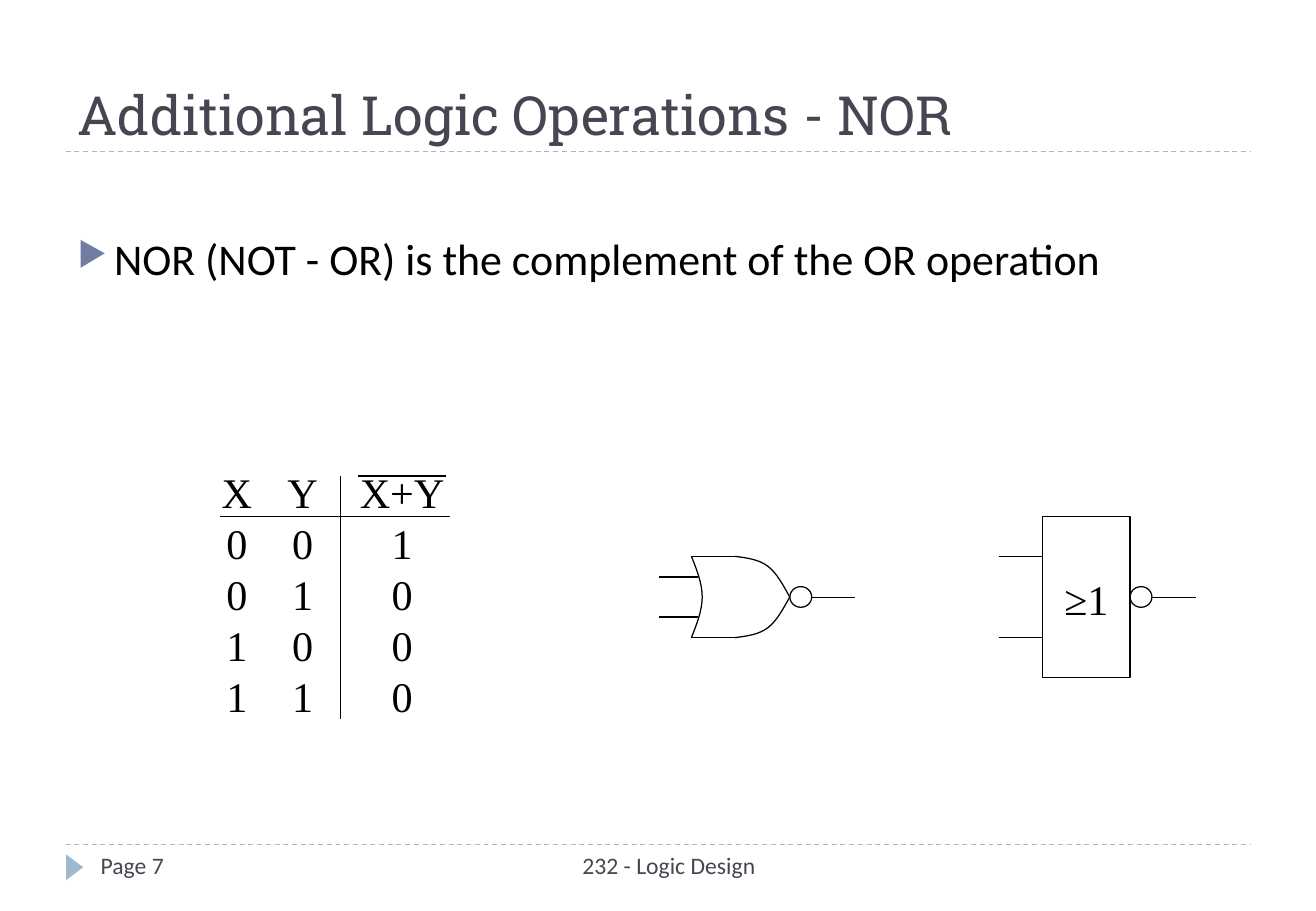
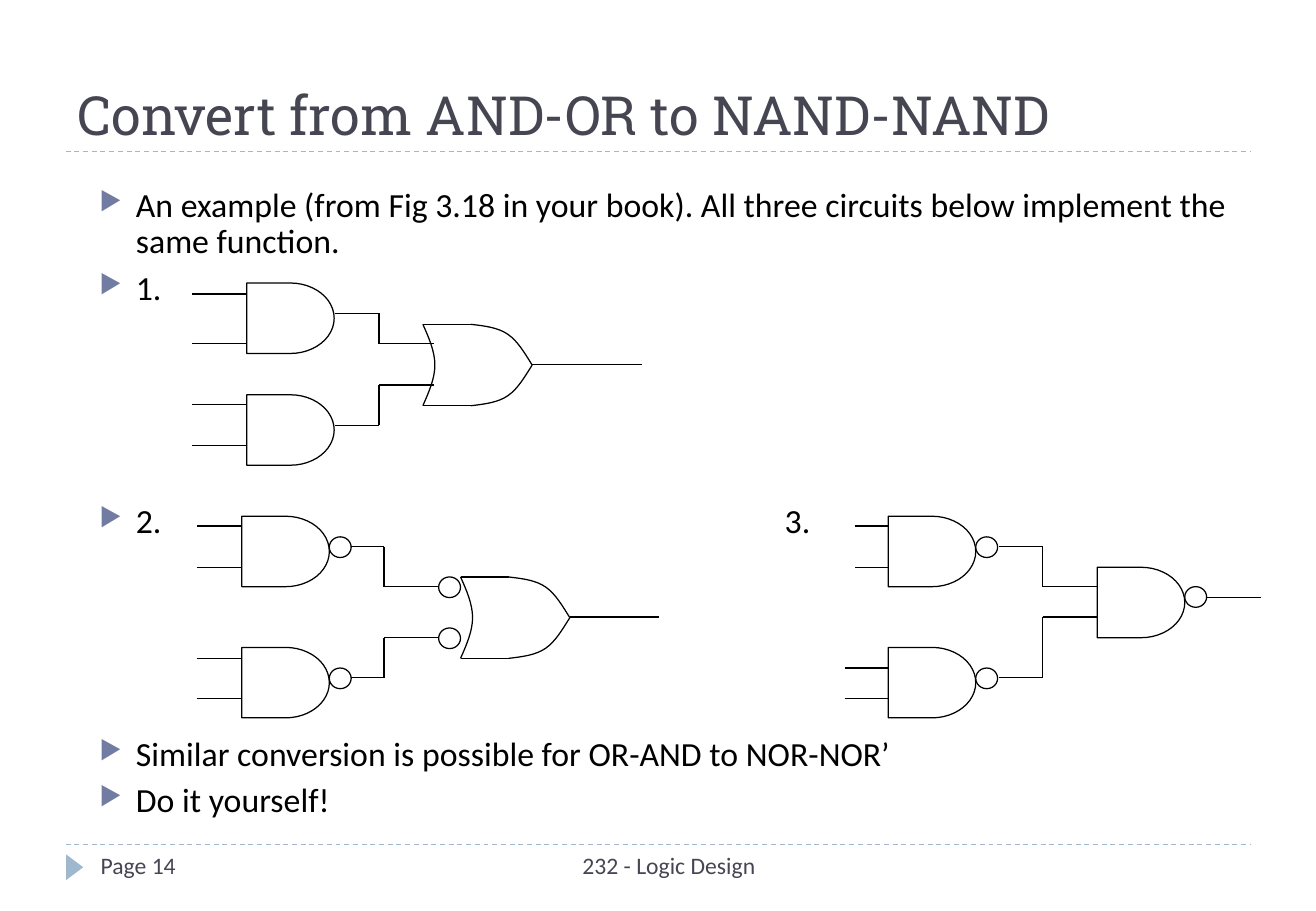
from dataclasses import dataclass

from lxml.etree import SubElement
from pptx import Presentation
from pptx.dml.color import RGBColor
from pptx.enum.dml import MSO_LINE
from pptx.enum.shapes import MSO_CONNECTOR, MSO_SHAPE as Preset
from pptx.enum.text import MSO_ANCHOR as Anchor, PP_ALIGN as Align
from pptx.oxml.ns import qn
from pptx.shapes.autoshape import Shape
from pptx.shapes.connector import Connector
from pptx.slide import Slide
from pptx.text.text import TextFrame, _Paragraph as Paragraph
from pptx.util import Inches, Pt

Point = tuple[float, float]


@dataclass(frozen=True)
class TextStyle:
    font: str
    size: float
    color: str


@dataclass(frozen=True)
class Theme:
    ink: str = "000000"
    paper: str = "FFFFFF"
    accent: str = "9FB8CD"
    bullet: str = "727CA3"
    line_width: float = 0.75
    title: TextStyle = TextStyle("Roboto Slab", 32, "464653")
    footer: TextStyle = TextStyle("Calibri", 14, "464653")
    statement: TextStyle = TextStyle("Calibri", 26, "000000")
    body: TextStyle = TextStyle("Calibri", 20, "000000")
    symbol: TextStyle = TextStyle("Times New Roman", 25, "000000")


THEME = Theme()
AND_WIDTH, AND_HEIGHT = 0.72, 0.58
OR_HEIGHT = 0.67
BUBBLE_WIDTH, BUBBLE_HEIGHT = 0.18, 0.17


@dataclass(frozen=True)
class AndGate:
    left: float
    top: float


@dataclass(frozen=True)
class OrGate:
    left: float
    top: float
    width: float = 0.9

    def place(self, x: float, y: float) -> Point:
        """Turn shares of the gate's width and height into inches."""
        return self.left + x * self.width, self.top + y * OR_HEIGHT


@dataclass(frozen=True)
class Circuit:
    gates: list[AndGate | OrGate]
    bubbles: list[Point]
    wires: list[list[Point]]


@dataclass(frozen=True)
class Bullet:
    text: str
    space_before: float = 6


# Text
def add_run(paragraph: Paragraph, text: str, style: TextStyle) -> None:
    run = paragraph.add_run()
    run.text = text
    run.font.name = style.font
    run.font.size = Pt(style.size)
    run.font.color.rgb = RGBColor.from_string(style.color)


def add_frame(slide: Slide, left: float, top: float, width: float, height: float) -> TextFrame:
    box = slide.shapes.add_textbox(Inches(left), Inches(top), Inches(width), Inches(height))
    box.text_frame.word_wrap = True
    return box.text_frame


def add_bullets(frame: TextFrame, bullets: list[Bullet], style: TextStyle, spacing: float) -> None:
    for index, bullet in enumerate(bullets):
        paragraph = frame.add_paragraph() if index else frame.paragraphs[0]
        paragraph.line_spacing = spacing
        paragraph.space_before = Pt(bullet.space_before)
        add_run(paragraph, bullet.text, style)
        props = paragraph._p.get_or_add_pPr()
        props.set("marL", str(Inches(0.3)))
        props.set("indent", str(-Inches(0.3)))
        color = SubElement(props, qn("a:buClr"))
        SubElement(color, qn("a:srgbClr"), val=THEME.bullet)
        SubElement(props, qn("a:buSzPct"), val="76000")
        SubElement(props, qn("a:buFont"), typeface="OpenSymbol")
        SubElement(props, qn("a:buChar"), char="▶")


# Lines and outlines
def add_line(slide: Slide, start: Point, end: Point, color: str = THEME.ink) -> Connector:
    line = slide.shapes.add_connector(
        MSO_CONNECTOR.STRAIGHT, *(Inches(value) for value in (*start, *end)))
    line.line.color.rgb = RGBColor.from_string(color)
    line.line.width = Pt(THEME.line_width)
    SubElement(line._element.spPr, qn("a:effectLst"))
    return line


def outline(shape: Shape, color: str = THEME.ink) -> None:
    shape.shadow.inherit = False
    shape.fill.solid()
    shape.fill.fore_color.rgb = RGBColor.from_string(THEME.paper)
    shape.line.color.rgb = RGBColor.from_string(color)
    shape.line.width = Pt(THEME.line_width)


def add_outlined(slide: Slide, preset: Preset, left: float, top: float, width: float,
                 height: float, color: str = THEME.ink) -> Shape:
    shape = slide.shapes.add_shape(
        preset, Inches(left), Inches(top), Inches(width), Inches(height))
    outline(shape, color)
    return shape


def add_freeform(slide: Slide, points: list[Point], close: bool, color: str) -> Shape:
    start, *rest = [(Inches(x), Inches(y)) for x, y in points]
    builder = slide.shapes.build_freeform(*start)
    builder.add_line_segments(rest, close=close)
    shape = builder.convert_to_shape()
    outline(shape, color)
    return shape


def add_curve(slide: Slide, points: list[Point]) -> Shape:
    """Draw Bézier curves: a start, then two controls and an end for each."""
    shape = add_freeform(slide, points, False, THEME.ink)
    segments = list(shape._element.iter(qn("a:lnTo")))
    for first in range(0, len(segments), 3):
        curve = SubElement(segments[first].getparent(), qn("a:cubicBezTo"))
        for segment in segments[first:first + 3]:
            curve.append(segment[0])
            segment.getparent().remove(segment)
    return shape


# Logic gates
def add_or(slide: Slide, gate: OrGate) -> None:
    # White body behind the visible edges
    body_left, top = gate.place(0.22, 0)
    add_outlined(slide, Preset.FLOWCHART_DELAY, body_left, top,
                 0.78 * gate.width, OR_HEIGHT, THEME.paper)
    back = (0, 0), (0.11, 0.375), (0.11, 0.625), (0, 1), (0.22, 1), (0.22, 0)
    add_freeform(slide, [gate.place(*point) for point in back], True, THEME.paper)
    # Hollow back, straight edges, then the two halves of the nose
    arc = ((0, 0), (0.055, 0.165), (0.11, 0.335), (0.11, 0.5),
           (0.11, 0.665), (0.055, 0.835), (0, 1))
    add_curve(slide, [gate.place(*point) for point in arc]).fill.background()
    for y in (0, 1):
        add_line(slide, gate.place(0, y), gate.place(0.44, y))
    nose = ((0.44, 0), (0.57, 0.02), (0.69, 0.04), (0.78, 0.125),
            (0.87, 0.21), (0.93, 0.35), (1, 0.5))
    for half in (nose, [(x, 1 - y) for x, y in nose]):
        add_curve(slide, [gate.place(*point) for point in half])


def inputs(left: float, right: float, *heights: float) -> list[list[Point]]:
    return [[(left, y), (right, y)] for y in heights]


def elbow(left: float, start_y: float, turn: float, end_y: float, right: float) -> list[Point]:
    return [(left, start_y), (turn, start_y), (turn, end_y), (right, end_y)]


def draw_wires(slide: Slide, wires: list[list[Point]]) -> None:
    for wire in wires:
        for start, end in zip(wire, wire[1:]):
            add_line(slide, start, end)


def draw_circuit(slide: Slide, circuit: Circuit) -> None:
    for gate in circuit.gates:
        if isinstance(gate, OrGate):
            add_or(slide, gate)
        else:
            add_outlined(slide, Preset.FLOWCHART_DELAY, gate.left, gate.top,
                         AND_WIDTH, AND_HEIGHT)
    for left, top in circuit.bubbles:
        add_outlined(slide, Preset.FLOWCHART_CONNECTOR, left, top, BUBBLE_WIDTH, BUBBLE_HEIGHT)
    draw_wires(slide, circuit.wires)


# Shared frame: title, dashed rules, footer
def add_page(deck: Presentation, title: str, page: int) -> Slide:
    slide = deck.slides.add_slide(deck.slide_layouts[6])
    for y in (1.25, 6.95):
        add_line(slide, (0.54, y), (10.29, y), THEME.accent).line.dash_style = MSO_LINE.DASH
    marker = add_outlined(slide, Preset.ISOSCELES_TRIANGLE, 0.51, 7.07, 0.21, 0.14)
    marker.rotation = 90
    marker.fill.fore_color.rgb = RGBColor.from_string(THEME.accent)
    marker.line.fill.background()

    heading = add_frame(slide, 0.54, 0.17, 9.75, 1.08)
    heading.vertical_anchor = Anchor.BOTTOM
    add_run(heading.paragraphs[0], title, THEME.title)
    course = add_frame(slide, 3.43, 6.96, 4.15, 0.4).paragraphs[0]
    course.alignment = Align.CENTER
    add_run(course, "232 - Logic Design", THEME.footer)
    add_run(add_frame(slide, 0.73, 6.96, 2.35, 0.4).paragraphs[0], f"Page {page}", THEME.footer)
    return slide


# Slide 1: truth table and the two NOR symbols
def add_truth_table(slide: Slide) -> None:
    rows = ["X", "Y", "X+Y"], "001", "010", "100", "110"
    widths = 0.54, 0.54, 1.1
    row_height = 0.42
    table = slide.shapes.add_table(
        len(rows), len(widths), Inches(1.68), Inches(3.86),
        Inches(sum(widths)), Inches(row_height * len(rows))).table
    table.first_row = table.horz_banding = False
    for column, width in zip(table.columns, widths):
        column.width = Inches(width)
    for r, values in enumerate(rows):
        table.rows[r].height = Inches(row_height)
        for c, value in enumerate(values):
            cell = table.cell(r, c)
            cell.fill.background()
            cell.margin_left = cell.margin_right = cell.margin_top = cell.margin_bottom = 0
            cell.vertical_anchor = Anchor.MIDDLE
            cell.text_frame.paragraphs[0].alignment = Align.CENTER
            add_run(cell.text_frame.paragraphs[0], value, THEME.symbol)
    add_line(slide, (1.81, 4.25), (3.7, 4.25))
    add_line(slide, (2.8, 3.92), (2.8, 5.92))
    add_line(slide, (2.95, 3.92), (3.67, 3.92))  # complement bar over X+Y


def build_nor(deck: Presentation) -> None:
    slide = add_page(deck, "Additional Logic Operations - NOR", 7)
    add_bullets(add_frame(slide, 0.54, 1.86, 9.28, 2.24),
                [Bullet("NOR (NOT - OR) is the complement of the OR operation")],
                THEME.statement, 1.0)
    add_truth_table(slide)
    draw_wires(slide, inputs(5.42, 5.78, 4.75, 5.08))
    draw_circuit(slide, Circuit([OrGate(5.69, 4.58, 0.81)], [(6.5, 4.83)],
                                [[(6.68, 4.92), (7.04, 4.92)]]))

    block = add_outlined(slide, Preset.RECTANGLE, 8.58, 4.25, 0.72, 1.33).text_frame
    block.word_wrap = False
    block.margin_top = Inches(0.08)
    block.vertical_anchor = Anchor.MIDDLE
    block.paragraphs[0].alignment = Align.CENTER
    add_run(block.paragraphs[0], "≥1", THEME.symbol)
    draw_circuit(slide, Circuit([], [(9.3, 4.83)], inputs(8.22, 8.58, 4.58, 5.25)
                                + [[(9.48, 4.92), (9.84, 4.92)]]))


# Slide 2: three equivalent circuits
AND_OR = Circuit(
    gates=[AndGate(2.03, 2.33), AndGate(2.03, 3.25), OrGate(3.48, 2.67)],
    bubbles=[],
    wires=inputs(1.58, 2.03, 2.42, 2.83, 3.33, 3.67) + [
        elbow(2.76, 2.58, 3.12, 2.83, 3.57),
        elbow(2.76, 3.5, 3.12, 3.17, 3.57),
        [(4.38, 3), (5.28, 3)]])

BUBBLED_OR = Circuit(
    gates=[AndGate(1.99, 4.25), AndGate(1.99, 5.33), OrGate(3.79, 4.75)],
    bubbles=[(2.71, 4.42), (2.71, 5.5), (3.61, 4.75), (3.61, 5.17)],
    wires=inputs(1.62, 1.99, 4.33, 4.67, 5.42, 5.75) + [
        elbow(2.89, 4.5, 3.16, 4.83, 3.61),
        elbow(2.89, 5.58, 3.16, 5.25, 3.61),
        [(4.69, 5.08), (5.42, 5.08)]])

NAND_NAND = Circuit(
    gates=[AndGate(7.31, 4.25), AndGate(7.31, 5.33), AndGate(9.03, 4.67)],
    bubbles=[(8.03, 4.42), (8.03, 5.5), (9.75, 4.83)],
    wires=inputs(7.04, 7.31, 4.33, 4.67) + inputs(6.95, 7.31, 5.5, 5.75) + [
        elbow(8.22, 4.5, 8.58, 4.83, 9.03),
        elbow(8.22, 5.58, 8.58, 5.08, 9.03),
        [(9.93, 4.92), (10.38, 4.92)]])


def build_conversion(deck: Presentation) -> None:
    slide = add_page(deck, "Convert from AND-OR to NAND-NAND", 14)
    circuit_gap = 116.5
    add_bullets(add_frame(slide, 0.72, 1.5, 9.86, 6), [
        Bullet("An example (from Fig 3.18 in your book). "
               "All three circuits below implement the same function."),
        Bullet("1."),
        Bullet("2.", circuit_gap),
        Bullet("Similar conversion is possible for OR-AND to NOR-NOR’", circuit_gap),
        Bullet("Do it yourself!"),
    ], THEME.body, 0.9)
    third = add_frame(slide, 6.36, 4.1, 0.5, 0.4).paragraphs[0]
    third.line_spacing = 0.9
    add_run(third, "3.", THEME.body)
    for circuit in (AND_OR, BUBBLED_OR, NAND_NAND):
        draw_circuit(slide, circuit)


def main() -> None:
    deck = Presentation()
    deck.slide_width, deck.slide_height = Inches(10.83), Inches(7.5)
    build_nor(deck)
    build_conversion(deck)
    deck.save("out.pptx")


if __name__ == "__main__":
    main()
